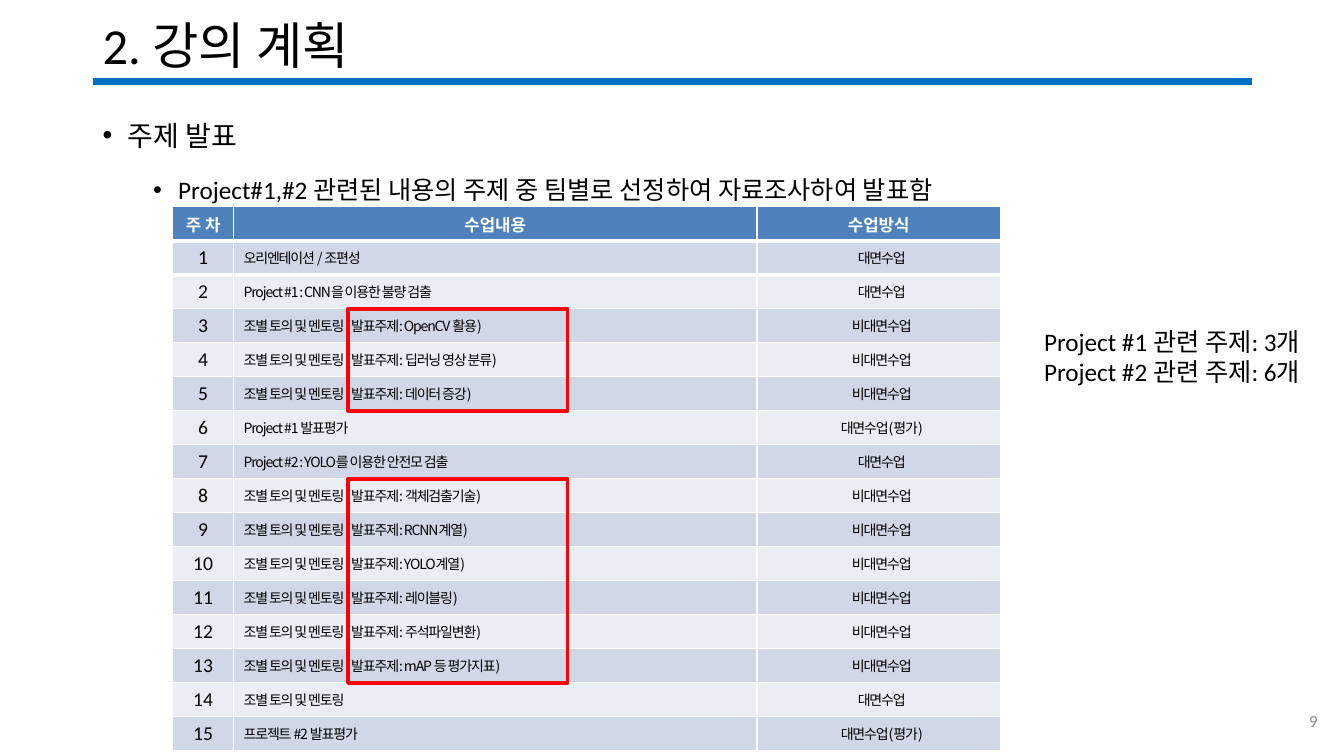
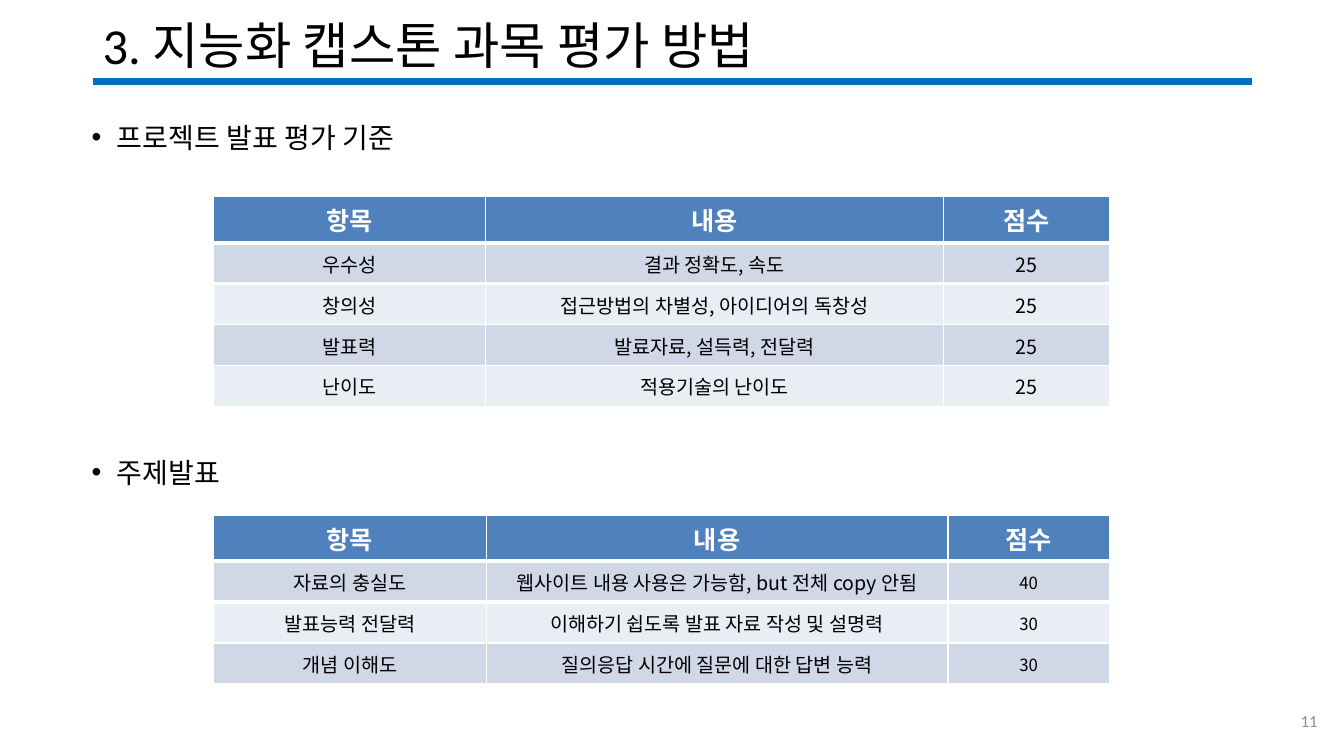
from lxml import etree
from pptx import Presentation
from pptx.dml.color import RGBColor
from pptx.enum import shapes, text
from pptx.oxml import ns
from pptx.util import Pt

# Shared look
COLORS = {"black": "000000", "white": "FFFFFF", "rule": "0070C0", "page": "8C8C8C",
          "header": "4F81BD", "band_dark": "D0D8E8", "band_light": "E9EDF4", "frame": "FF0000"}
LATIN, KOREAN = "Calibri", "Noto Sans CJK KR"
LEFT, CENTER, RIGHT = text.PP_ALIGN.LEFT, text.PP_ALIGN.CENTER, text.PP_ALIGN.RIGHT
TITLE_AREA = (66.24, 10.08, 828, 48.96)
PAGE_AREA = (732.24, 500.4, 216, 28.8)
RULE = (66.24, 58.5, 894.24, 58.5)

# Content: lecture plan
PLAN_BULLETS = [  # text, level, size, space before
    ("주제 발표", 0, 20, 10),
    ("Project#1,#2 관련된 내용의 주제 중 팀별로 선정하여 자료조사하여 발표함", 1, 18, 5),
]
PLAN_HEADER = ("주 차", "수업내용", "수업방식")
PLAN_WEEKS = [
    ("오리엔테이션 / 조편성", "대면수업"),
    ("Project #1 : CNN을 이용한 불량 검출", "대면수업"),
    ("조별 토의 및 멘토링 (발표주제: OpenCV 활용)", "비대면수업"),
    ("조별 토의 및 멘토링 (발표주제: 딥러닝 영상 분류)", "비대면수업"),
    ("조별 토의 및 멘토링 (발표주제: 데이터 증강)", "비대면수업"),
    ("Project #1 발표평가", "대면수업(평가)"),
    ("Project #2 : YOLO를 이용한 안전모 검출", "대면수업"),
    ("조별 토의 및 멘토링 (발표주제: 객체검출기술)", "비대면수업"),
    ("조별 토의 및 멘토링 (발표주제: RCNN계열)", "비대면수업"),
    ("조별 토의 및 멘토링 (발표주제: YOLO계열)", "비대면수업"),
    ("조별 토의 및 멘토링 (발표주제: 레이블링)", "비대면수업"),
    ("조별 토의 및 멘토링 (발표주제: 주석파일변환)", "비대면수업"),
    ("조별 토의 및 멘토링 (발표주제: mAP 등 평가지표)", "비대면수업"),
    ("조별 토의 및 멘토링", "대면수업"),
    ("프로젝트 #2 발표평가", "대면수업(평가)"),
]
PLAN_TOP, PLAN_ROW = 147.6, 24.3
TOPIC_WEEKS = [(3, 5), (8, 13)]  # first and last week in each frame
TOPIC_LEFT, TOPIC_WIDTH = 248.6, 156.8
TOPIC_COUNTS = ["Project #1 관련 주제: 3개", "Project #2 관련 주제: 6개"]

# Content: grading
GRADING_BULLETS = [
    ("프로젝트 발표 평가 기준", 0, 20, 10),
    ("주제발표", 0, 20, 203),
]
GRADING_HEADER = ("항목", "내용", "점수")
PROJECT_CRITERIA = [
    ("우수성", "결과 정확도, 속도", "25"),
    ("창의성", "접근방법의 차별성, 아이디어의 독창성", "25"),
    ("발표력", "발료자료, 설득력, 전달력", "25"),
    ("난이도", "적용기술의 난이도", "25"),
]
TOPIC_CRITERIA = [
    ("자료의 충실도", "웹사이트 내용 사용은 가능함, but 전체 copy 안됨", "40"),
    ("발표능력 전달력", "이해하기 쉽도록 발표 자료 작성 및 설명력", "30"),
    ("개념 이해도", "질의응답 시간에 질문에 대한 답변 능력", "30"),
]

# Column styles: size, font, alignment, letter spacing, cell margins (l, t, r, b)
WIDE, NARROW, TIGHT = (7.2, 3.6, 7.2, 3.6), (7.2, 3.6, 2.88, 3.6), (0.72, 0.72, 0.72, 0)
PLAN_STYLES = [(14, LATIN, CENTER, 0, WIDE), (10, KOREAN, LEFT, -0.8, NARROW),
               (10, KOREAN, CENTER, -0.8, NARROW)]
CRITERION = (14, KOREAN, CENTER, 0, TIGHT)
SMALL_SCORE = (12, KOREAN, CENTER, 0, TIGHT)


def rgb(name):
    return RGBColor.from_string(COLORS[name])


def points(values):
    return [Pt(value) for value in values]


def style(paragraph, size, color="black", align=LEFT, latin=LATIN, asian=LATIN,
          bold=False, spacing=0):
    paragraph.alignment = align
    font = paragraph.font
    font.size, font.name, font.bold = Pt(size), latin, bold
    font.color.rgb = rgb(color)
    defaults = paragraph._p.pPr.find(ns.qn("a:defRPr"))
    etree.SubElement(defaults, ns.qn("a:ea")).set("typeface", asian)
    if spacing:
        defaults.set("spc", str(round(spacing * 100)))


def add_text(slide, area, lines, size, anchor=text.MSO_ANCHOR.TOP, line_spacing=None, **look):
    frame = slide.shapes.add_textbox(*points(area)).text_frame
    frame.word_wrap = True
    frame.vertical_anchor = anchor
    frame.text = "\n".join(lines)
    for paragraph in frame.paragraphs:
        style(paragraph, size, **look)
        paragraph.line_spacing = line_spacing
    return frame


def add_bullets(slide, area, bullets):
    frame = add_text(slide, area, [bullet[0] for bullet in bullets], 20, line_spacing=1.5)
    for paragraph, (_, level, size, before) in zip(frame.paragraphs, bullets):
        paragraph.level = level
        paragraph.font.size = Pt(size)
        paragraph.space_before = Pt(before)
        properties = paragraph._p.pPr
        properties.set("marL", str(Pt(18 + 36 * level)))
        properties.set("indent", str(Pt(-18)))
        bullet_font = etree.Element(ns.qn("a:buFont"), typeface="Arial")
        bullet_mark = etree.Element(ns.qn("a:buChar"), char="•")
        defaults = properties.find(ns.qn("a:defRPr"))
        defaults.addprevious(bullet_font)
        defaults.addprevious(bullet_mark)


def add_border(cell, side, width):
    border = etree.Element(ns.qn(f"a:{side}"), w=str(Pt(width)))
    solid = etree.SubElement(border, ns.qn("a:solidFill"))
    etree.SubElement(solid, ns.qn("a:srgbClr"), val=COLORS["white"])
    cell._tc.get_or_add_tcPr().insert(0, border)


def fill_cell(cell, words, fill, margins, **look):
    cell.text = words
    cell.vertical_anchor = text.MSO_ANCHOR.MIDDLE
    cell.margin_left, cell.margin_top, cell.margin_right, cell.margin_bottom = points(margins)
    cell.fill.solid()
    cell.fill.fore_color.rgb = rgb(fill)
    style(cell.text_frame.paragraphs[0], asian=KOREAN, **look)


def add_grid(slide, corner, widths, header, header_size, header_height, rows, row_height, styles):
    heights = [header_height] + [row_height] * len(rows)
    grid = slide.shapes.add_table(len(heights), len(widths),
                                  *points((*corner, sum(widths), sum(heights)))).table
    for column, width in zip(grid.columns, widths):
        column.width = Pt(width)
    for row, height in zip(grid.rows, heights):
        row.height = Pt(height)
    for c, words in enumerate(header):
        fill_cell(grid.cell(0, c), words, "header", WIDE, size=header_size,
                  color="white", align=CENTER, bold=True)
        add_border(grid.cell(0, c), "lnB", 3)
        add_border(grid.cell(1, c), "lnT", 3)
    for r, row in enumerate(rows, 1):
        band = "band_dark" if r % 2 else "band_light"
        for c, (words, (size, latin, align, spacing, margins)) in enumerate(zip(row, styles)):
            fill_cell(grid.cell(r, c), words, band, margins, size=size, latin=latin,
                      align=align, spacing=spacing)


def add_slide(deck, title, page):
    slide = deck.slides.add_slide(deck.slide_layouts[6])
    rule = slide.shapes.add_connector(shapes.MSO_CONNECTOR.STRAIGHT, *points(RULE))
    rule.line.color.rgb = rgb("rule")
    rule.line.width = Pt(5)
    etree.SubElement(rule._element.spPr, ns.qn("a:effectLst"))
    middle = text.MSO_ANCHOR.MIDDLE
    add_text(slide, TITLE_AREA, [title], 36, middle, 0.9)
    add_text(slide, PAGE_AREA, [page], 12, middle, color="page", align=RIGHT)
    return slide


def add_topic_frame(slide, first, last):
    # The header takes one row, so week n starts n rows below the top
    area = (TOPIC_LEFT, PLAN_TOP + first * PLAN_ROW, TOPIC_WIDTH, (last - first + 1) * PLAN_ROW)
    frame = slide.shapes.add_shape(shapes.MSO_SHAPE.RECTANGLE, *points(area))
    frame.shadow.inherit = False
    frame.fill.background()
    frame.line.color.rgb = rgb("frame")
    frame.line.width = Pt(2.75)


def main():
    deck = Presentation()
    deck.slide_width, deck.slide_height = Pt(960), Pt(540)

    # Lecture plan
    plan = add_slide(deck, "2. 강의 계획", "9")
    add_bullets(plan, (66.24, 69.12, 828, 417.6), PLAN_BULLETS)
    weeks = [(str(number), *week) for number, week in enumerate(PLAN_WEEKS, 1)]
    add_grid(plan, (123.4, PLAN_TOP), (43.4, 374, 173.8), PLAN_HEADER, 12, PLAN_ROW,
             weeks, PLAN_ROW, PLAN_STYLES)
    for first, last in TOPIC_WEEKS:
        add_topic_frame(plan, first, last)
    add_text(plan, (738.72, 229.68, 206.64, 94.32), TOPIC_COUNTS, 18)

    # Grading
    grading = add_slide(deck, "3. 지능화 캡스톤 과목 평가 방법", "11")
    add_bullets(grading, (58.32, 70.56, 828, 417.6), GRADING_BULLETS)
    for top, widths, criteria, score in [
        (140.4, (194, 327.6, 118.4), PROJECT_CRITERIA, CRITERION),
        (367.9, (194.7, 329.8, 115.5), TOPIC_CRITERIA, SMALL_SCORE),
    ]:
        add_grid(grading, (152.64, top), widths, GRADING_HEADER, 18, 33,
                 criteria, 29.2, [CRITERION, CRITERION, score])

    deck.save("out.pptx")


if __name__ == "__main__":
    main()
